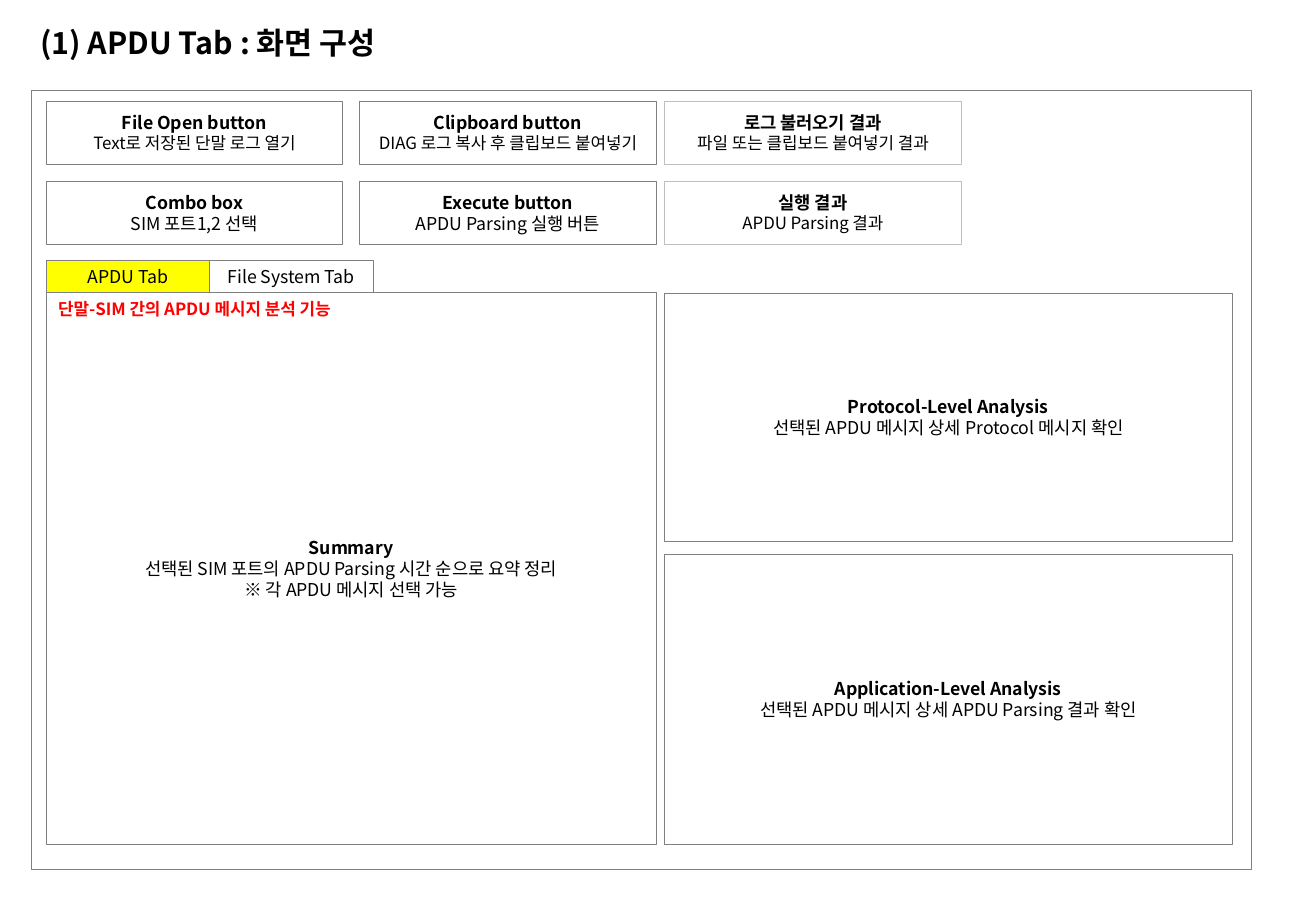
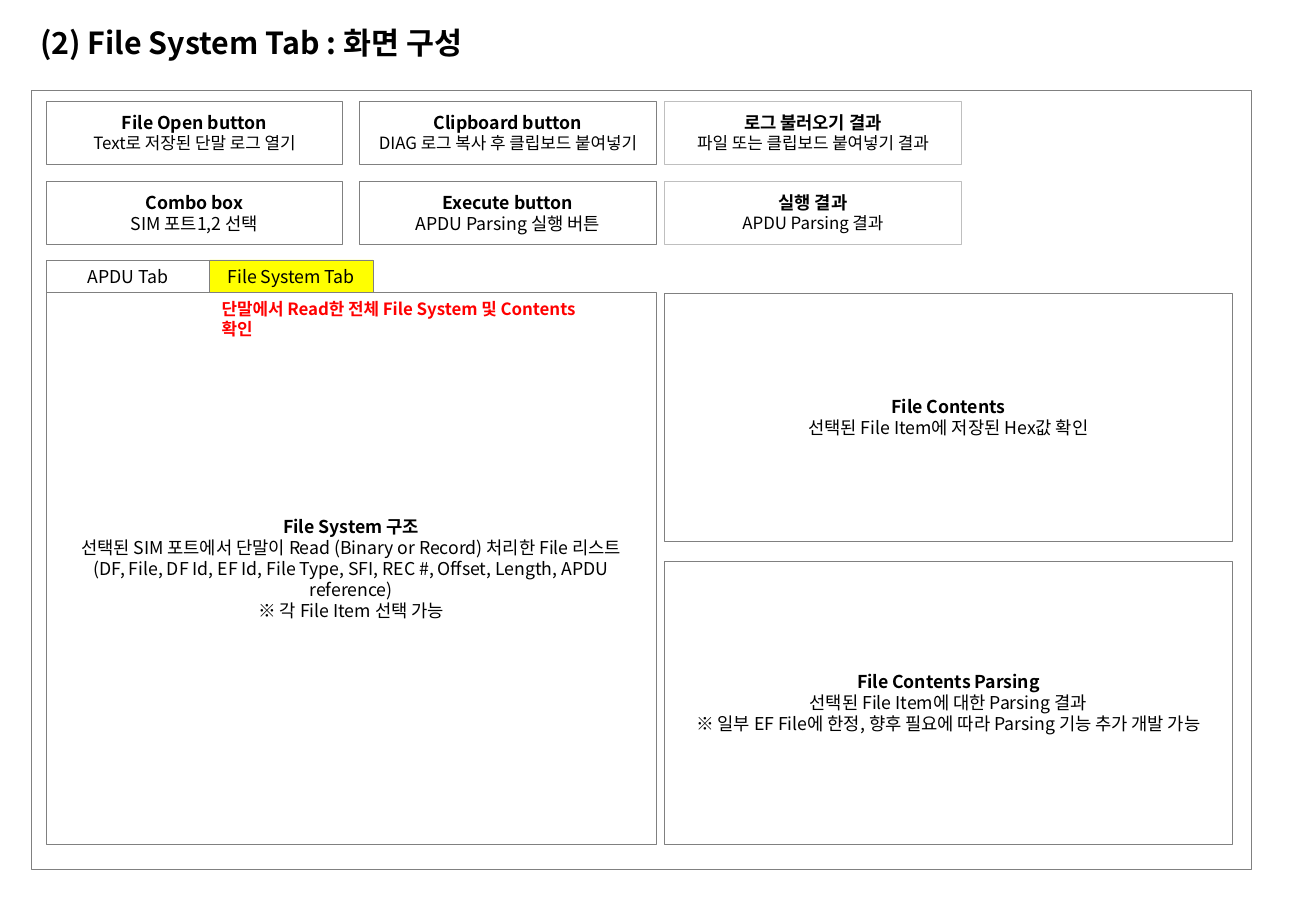
from lxml import etree
from pptx import Presentation
from pptx import util as u
from pptx.dml.color import RGBColor
from pptx.enum import shapes, text
from pptx.oxml.ns import qn

FONT = "Noto Sans CJK KR"
BLACK, RED, YELLOW = "000000", "FF0000", "FFFF00"
GRAY, PALE = "808080", "BFBFBF"
TABS = ["APDU Tab", "File System Tab"]

# Column, row, border, heading, detail, detail size
PANELS = [
    (0, 0, GRAY, "File Open button", "Text로 저장된 단말 로그 열기", 10),
    (1, 0, GRAY, "Clipboard button", "DIAG 로그 복사 후 클립보드 붙여넣기", 10),
    (2, 0, PALE, "로그 불러오기 결과", "파일 또는 클립보드 붙여넣기 결과", 10),
    (0, 1, GRAY, "Combo box", "SIM 포트1,2 선택", 10.5),
    (1, 1, GRAY, "Execute button", "APDU Parsing 실행 버튼", 10.5),
    (2, 1, PALE, "실행 결과", "APDU Parsing 결과", 10),
]

PAGES = [
    dict(
        title="(1) APDU Tab : 화면 구성", active=0, gap=0.1,
        note="단말-SIM 간의 APDU 메시지 분석 기능",
        main=["Summary", "선택된 SIM 포트의 APDU Parsing 시간 순으로 요약 정리",
              "※ 각 APDU 메시지 선택 가능"],
        upper=["Protocol-Level Analysis",
               "선택된 APDU 메시지 상세 Protocol 메시지 확인"],
        lower=["Application-Level Analysis",
               "선택된 APDU 메시지 상세 APDU Parsing 결과 확인"],
    ),
    dict(
        title="(2) File System Tab : 화면 구성", active=1, gap=0.16,
        note="단말에서 Read한 전체 File System 및 Contents 확인",
        main=["File System 구조",
              "선택된 SIM 포트에서 단말이 Read (Binary or Record) 처리한 File 리스트",
              "(DF, File, DF Id, EF Id, File Type, SFI, REC #, Offset, Length, "
              "APDU reference)",
              "※ 각 File Item 선택 가능"],
        upper=["File Contents", "선택된 File Item에 저장된 Hex값 확인"],
        lower=["File Contents Parsing", "선택된 File Item에 대한 Parsing 결과",
               "※ 일부 EF File에 한정, 향후 필요에 따라 Parsing 기능 추가 개발 가능"],
    ),
]


def color(code):
    return RGBColor.from_string(code)


def style(para, size, bold=False, ink=BLACK):
    for run in para.runs:
        font = run.font
        font.name, font.size, font.bold = FONT, u.Pt(size), bold
        font.color.rgb = color(ink)
        # East Asian typeface
        east = etree.SubElement(run._r.get_or_add_rPr(), qn("a:ea"))
        east.set("typeface", FONT)


def box(slide, x, y, w, h, lines=(), border=GRAY, fill=None, head=True, size=10.5):
    """Outlined box with a heading line and centred details."""
    rect = slide.shapes.add_shape(
        shapes.MSO_SHAPE.RECTANGLE, *map(u.Inches, (x, y, w, h)))
    rect.shadow.inherit = False
    rect.line.color.rgb = color(border)
    rect.line.width = u.Pt(0.25)
    if fill:
        rect.fill.solid()
        rect.fill.fore_color.rgb = color(fill)
    else:
        rect.fill.background()
    frame = rect.text_frame
    frame.word_wrap = True
    frame.vertical_anchor = text.MSO_ANCHOR.MIDDLE
    frame.text = "\n".join(lines)
    for i, para in enumerate(frame.paragraphs):
        para.alignment = text.PP_ALIGN.CENTER
        style(para, size if i else 10.5, bold=head and i == 0)


def heading(slide, words):
    title = slide.shapes.title
    title.left, title.top = u.Inches(0.23), u.Inches(0.1)
    title.width, title.height = u.Inches(4.09), u.Inches(0.54)
    frame = title.text_frame
    frame.text = words
    frame.word_wrap = True
    frame.vertical_anchor = text.MSO_ANCHOR.MIDDLE
    para = frame.paragraphs[0]
    para.alignment = text.PP_ALIGN.LEFT
    para.line_spacing = 0.9
    style(para, 18, bold=True)


def controls(slide, x, y):
    """Two rows of buttons and results."""
    cols = [0, 2.58, 5.09]
    for col, row, border, name, detail, size in PANELS:
        box(slide, x + cols[col], y + row * 0.66, 2.44, 0.52,
            [name, detail], border, size=size)


def views(slide, x, y, h, page):
    """Main view on the left, two detail views on the right."""
    right, wide, top = x + 5.09, 4.67, 2.05
    low = top + page["gap"]
    box(slide, x, y, 5.02, h, page["main"])
    box(slide, right, y, wide, top, page["upper"])
    box(slide, right, y + low, wide, h - low, page["lower"])


def tabs(slide, x, y, active, note):
    """Tab strip with a red note under the active tab."""
    step, high = 1.345, 0.27
    for i, name in enumerate(TABS):
        box(slide, x + i * step, y, step, high, [name],
            fill=YELLOW if i == active else None, head=False)
    label = slide.shapes.add_textbox(
        *map(u.Inches, (x + active * step, y + high, 3.39, high)))
    frame = label.text_frame
    frame.word_wrap = True
    frame.auto_size = text.MSO_AUTO_SIZE.SHAPE_TO_FIT_TEXT
    frame.text = note
    style(frame.paragraphs[0], 10, bold=True, ink=RED)


def screen(slide, x, y, w, h, page):
    """Window frame and the regions inside it."""
    box(slide, x, y, w, h)
    left = x + 0.12
    controls(slide, left, y + 0.09)
    views(slide, left, y + 1.67, 4.54, page)
    tabs(slide, left, y + 1.4, page["active"], page["note"])


def main():
    deck = Presentation()
    deck.slide_width, deck.slide_height = u.Inches(10.83), u.Inches(7.5)
    for page in PAGES:
        slide = deck.slides.add_slide(deck.slide_layouts[5])
        heading(slide, page["title"])
        screen(slide, 0.26, 0.74, 10.04, 6.42, page)
    deck.save("out.pptx")


if __name__ == "__main__":
    main()
